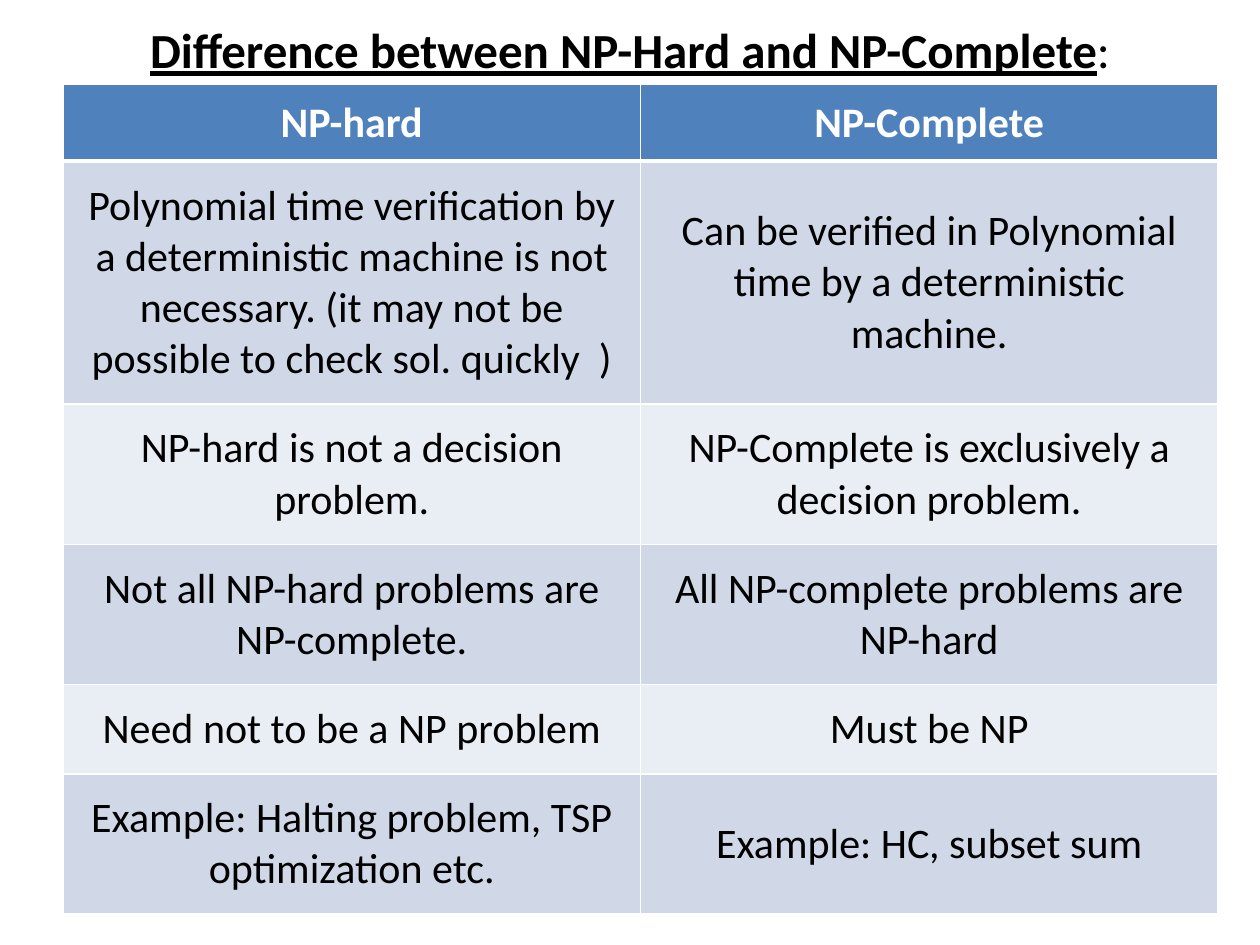
from pptx import Presentation
from pptx.dml.color import RGBColor
from pptx.enum.text import MSO_ANCHOR as Anchor, PP_ALIGN as Align
from pptx.oxml import parse_xml
from pptx.oxml.ns import nsdecls
from pptx.util import Pt

COLORS = {
    "text": "000000",
    "header_text": "FFFFFF",
    "header": "4F81BD",
    "band_dark": "D0D8E8",
    "band_light": "E9EDF4",
    "border": "FFFFFF",
}

COMPARISON = [
    ("NP-hard", "NP-Complete"),
    ("Polynomial time verification by a deterministic machine is not necessary. "
     "(it may not be possible to check sol. quickly  )",
     "Can be verified in Polynomial time by a deterministic machine."),
    ("NP-hard is not a decision problem.",
     "NP-Complete is exclusively a decision problem."),
    ("Not all NP-hard problems are NP-complete.",
     "All NP-complete problems are NP-hard"),
    ("Need not to be a NP problem", "Must be NP"),
    ("Example: Halting problem, TSP optimization etc.",
     "Example: HC, subset sum"),
]
ROW_HEIGHTS = [38.4, 119.5, 69.1, 69.1, 43.9, 69.1]


def add_run(paragraph, text, size, color="text", bold=False, underline=False,
            font="Calibri"):
    paragraph.alignment = Align.CENTER
    run = paragraph.add_run()
    run.text = text
    run.font.name = font
    run.font.size = Pt(size)
    run.font.bold = bold
    run.font.underline = underline
    run.font.color.rgb = RGBColor.from_string(COLORS[color])


def set_borders(cell, **widths):
    """Draw cell borders; call before filling, as the lines precede the fill."""
    properties = cell._tc.get_or_add_tcPr()
    for side in "LRTB":
        properties.append(parse_xml(
            f'<a:ln{side} {nsdecls("a")} w="{Pt(widths.get(side, 1))}"><a:solidFill>'
            f'<a:srgbClr val="{COLORS["border"]}"/></a:solidFill></a:ln{side}>'))


class SlideBuilder:
    """Holds the text sizes and the current slide."""

    title_size = 28
    table_size = 24

    def __init__(self, presentation):
        self.slide = presentation.slides.add_slide(presentation.slide_layouts[5])

    def title(self, text, ending, left, top, width, height):
        shape = self.slide.shapes.title
        shape.left, shape.top = Pt(left), Pt(top)
        shape.width, shape.height = Pt(width), Pt(height)
        shape.text_frame.vertical_anchor = Anchor.MIDDLE
        paragraph = shape.text_frame.paragraphs[0]
        add_run(paragraph, text, self.title_size, bold=True, underline=True)
        add_run(paragraph, ending, self.title_size)

    def table(self, rows, heights, left, top, width):
        shape = self.slide.shapes.add_table(
            len(rows), len(rows[0]), Pt(left), Pt(top), Pt(width), Pt(sum(heights)))
        table = shape.table
        for row_index, (texts, height) in enumerate(zip(rows, heights)):
            table.rows[row_index].height = Pt(height)
            for column_index, text in enumerate(texts):
                self.cell(table.cell(row_index, column_index), text,
                          row_index, column_index)

    def cell(self, cell, text, row_index, column_index):
        header = row_index == 0
        side_margin = 3 if header and column_index == 0 else 7.2
        cell.margin_left = cell.margin_right = Pt(side_margin)
        cell.margin_top = cell.margin_bottom = Pt(7.2 if header else 10.8)
        cell.vertical_anchor = Anchor.MIDDLE
        set_borders(cell, B=3 if header else 1, T=3 if row_index == 1 else 1)
        band = "band_dark" if row_index % 2 else "band_light"
        cell.fill.solid()
        cell.fill.fore_color.rgb = RGBColor.from_string(
            COLORS["header" if header else band])
        add_run(cell.text_frame.paragraphs[0], text, self.table_size,
                color="header_text" if header else "text", bold=header)


def main():
    presentation = Presentation()
    presentation.slide_width, presentation.slide_height = Pt(720), Pt(540)
    builder = SlideBuilder(presentation)
    builder.title("Difference between NP-Hard and NP-Complete", ":",
                  left=36, top=0, width=648, height=56)
    builder.table(COMPARISON, ROW_HEIGHTS, left=36, top=48.4, width=660)
    presentation.save("out.pptx")


if __name__ == "__main__":
    main()
